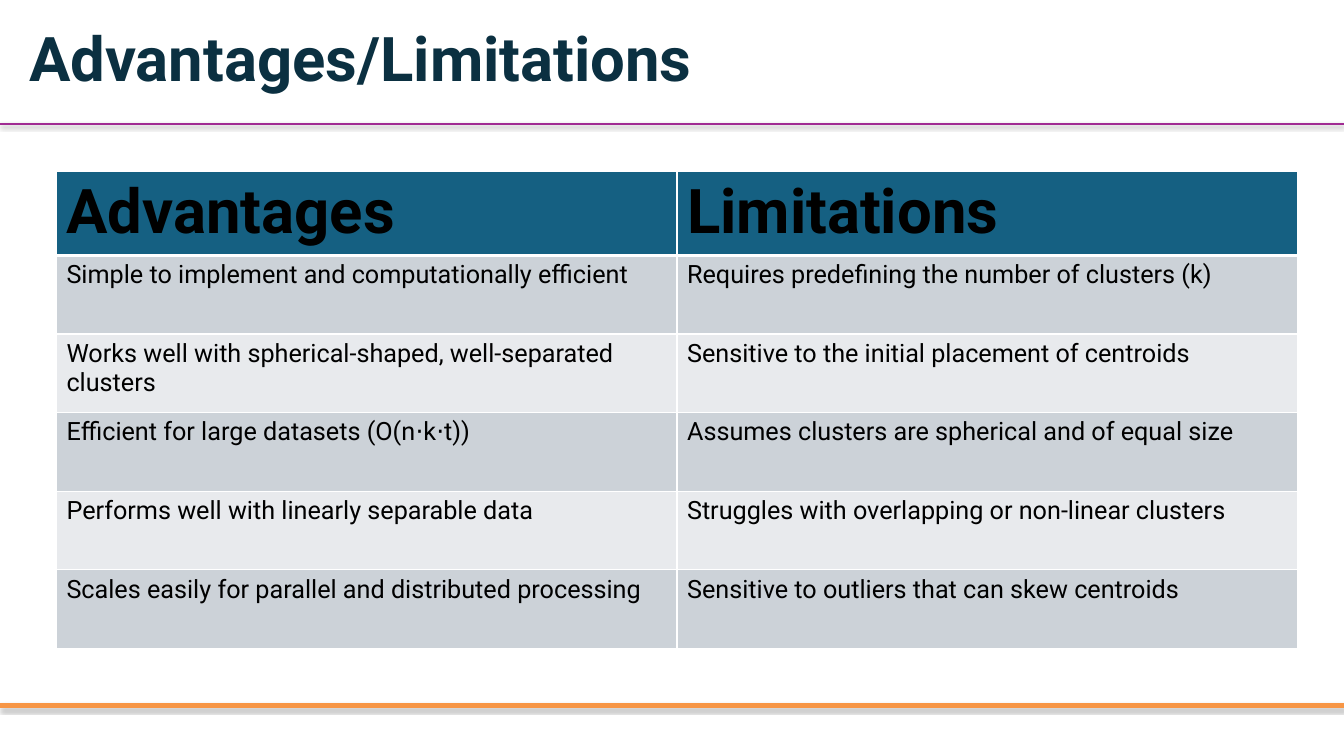
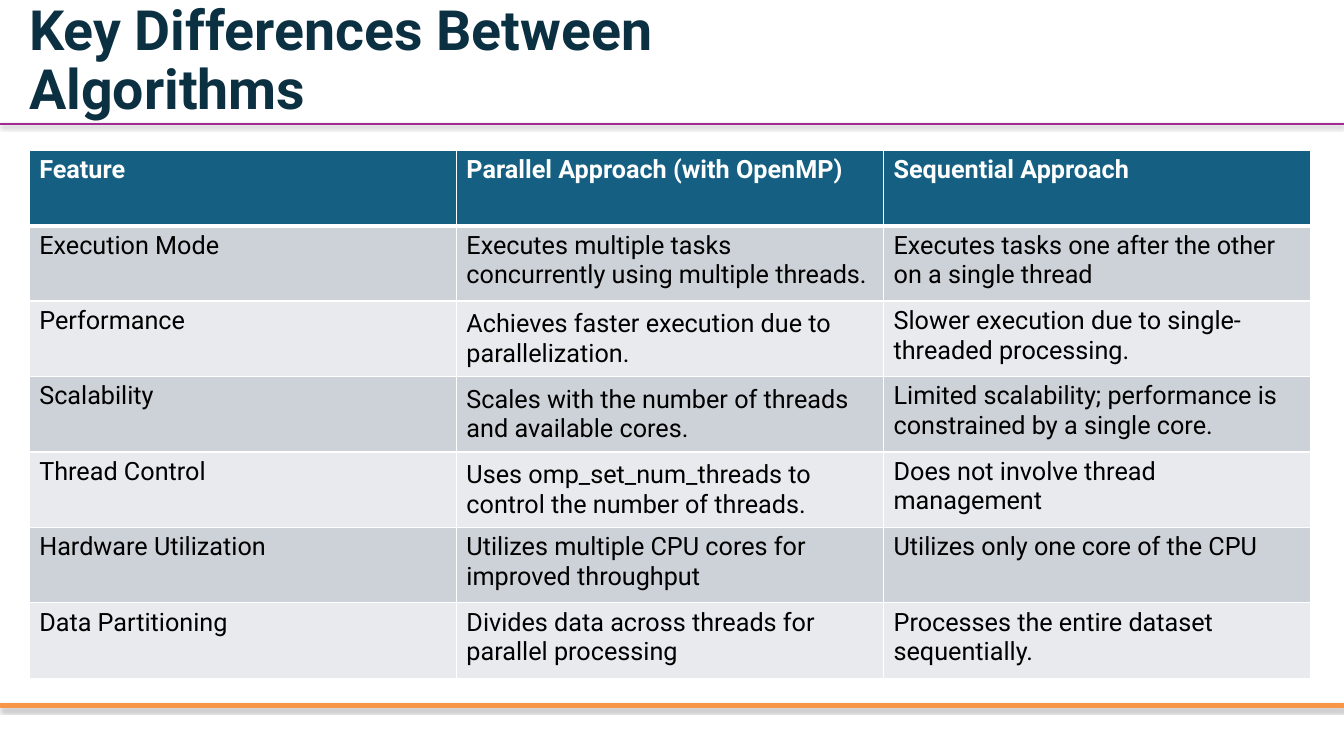
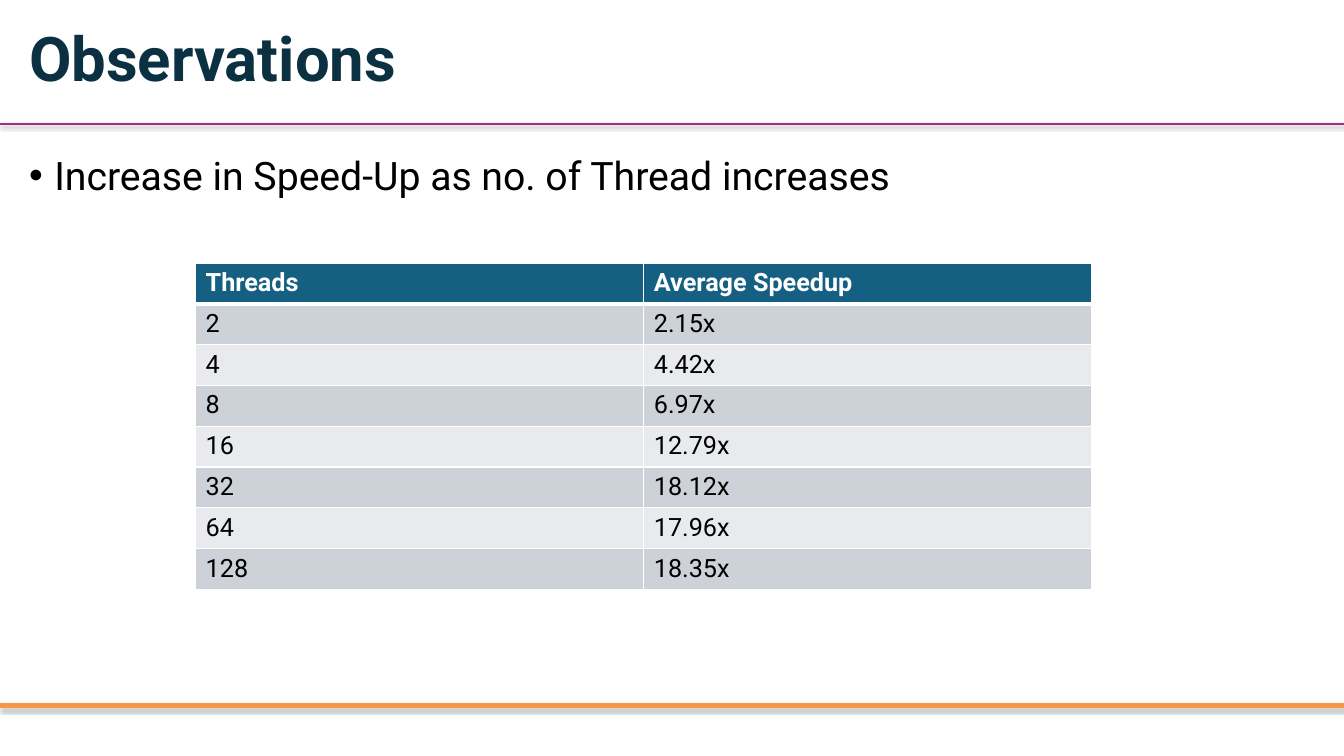
from lxml import etree
from pptx import Presentation
from pptx.dml.color import RGBColor
from pptx.enum import shapes, text
from pptx.oxml import parse_xml
from pptx.oxml.ns import nsdecls
from pptx.util import Inches, Pt

FONT = "Roboto"
NAVY = RGBColor(0x0B, 0x30, 0x41)
PURPLE = RGBColor(0xA0, 0x2B, 0x93)
ORANGE = RGBColor(0xF7, 0x96, 0x46)
TEAL = RGBColor(0x15, 0x60, 0x82)
BANDS = [RGBColor(0xE8, 0xEA, 0xED), RGBColor(0xCC, 0xD2, 0xD8)]
BLACK = RGBColor(0, 0, 0)
WHITE = RGBColor(0xFF, 0xFF, 0xFF)

# top, colour, width, shadow distance in points, shadow opacity in percent
RULES = [(1.23, PURPLE, 2, 1.6, 38), (7, ORANGE, 3, 1.8, 35)]

PAGES = [
    {
        "title": "Advantages/Limitations", "title_size": 44, "title_width": 8.24,
        "table_box": (0.56, 1.7, 12.31, 4.68),
        "header_size": 44, "header_color": BLACK,
        "rows": [
            ("Advantages", "Limitations"),
            ("Simple to implement and computationally efficient",
             "Requires predefining the number of clusters (k)"),
            ("Works well with spherical-shaped, well-separated clusters",
             "Sensitive to the initial placement of centroids"),
            ("Efficient for large datasets (O(n⋅k⋅t))",
             "Assumes clusters are spherical and of equal size"),
            ("Performs well with linearly separable data",
             "Struggles with overlapping or non-linear clusters"),
            ("Scales easily for parallel and distributed processing",
             "Sensitive to outliers that can skew centroids"),
        ],
    },
    {
        "title": "Key Differences Between Algorithms", "title_size": 39.6, "title_width": 8.98,
        "table_box": (0.29, 1.49, 12.71, 5.24),
        "header_size": 18, "header_color": WHITE,
        "middle_cells": [(2, 1), (3, 1), (4, 1)],
        "rows": [
            ("Feature", "Parallel Approach (with OpenMP)", "Sequential Approach"),
            ("Execution Mode",
             "Executes multiple tasks concurrently using multiple threads.",
             "Executes tasks one after the other on a single thread"),
            ("Performance",
             "Achieves faster execution due to parallelization.",
             "Slower execution due to single-threaded processing."),
            ("Scalability",
             "Scales with the number of threads and available cores.",
             "Limited scalability; performance is constrained by a single core."),
            ("Thread Control",
             "Uses omp_set_num_threads to control the number of threads.",
             "Does not involve thread management"),
            ("Hardware Utilization",
             "Utilizes multiple CPU cores for improved throughput",
             "Utilizes only one core of the CPU"),
            ("Data Partitioning",
             "Divides data across threads for parallel processing",
             "Processes the entire dataset sequentially."),
        ],
    },
    {
        "title": "Observations", "title_size": 44, "title_width": 8.24,
        "bullet": "Increase in Speed-Up as no. of Thread increases",
        "table_box": (1.94, 2.61, 8.89, 3.24),
        "header_size": 18, "header_color": WHITE,
        "rows": [
            ("Threads", "Average Speedup"),
            ("2", "2.15x"),
            ("4", "4.42x"),
            ("8", "6.97x"),
            ("16", "12.79x"),
            ("32", "18.12x"),
            ("64", "17.96x"),
            ("128", "18.35x"),
        ],
    },
]


def write(frame, wording, size, color, bold=False):
    """Put one formatted run in the frame and return its paragraph."""
    para = frame.paragraphs[0]
    span = para.add_run()
    span.text = wording
    for name, value in {"name": FONT, "size": Pt(size), "bold": bold}.items():
        setattr(span.font, name, value)
    span.font.color.rgb = color
    return para


def add_text_box(page, left, top, width, height, anchor):
    frame = page.shapes.add_textbox(*map(Inches, (left, top, width, height))).text_frame
    frame.word_wrap = True
    frame.vertical_anchor = anchor
    return frame


deck = Presentation()
deck.slide_width, deck.slide_height = Inches(13.33), Inches(7.5)

for content in PAGES:
    page = deck.slides.add_slide(deck.slide_layouts[6])

    for top, color, width, distance, opacity in RULES:
        rule = page.shapes.add_connector(
            shapes.MSO_CONNECTOR.STRAIGHT, 0, Inches(top), deck.slide_width, Inches(top))
        rule.line.color.rgb = color
        rule.line.width = Pt(width)
        rule._element.spPr.append(parse_xml(
            f'<a:effectLst {nsdecls("a")}>'
            f'<a:outerShdw blurRad="{Pt(3.1)}" dist="{Pt(distance)}" dir="5400000" rotWithShape="0">'
            f'<a:srgbClr val="000000"><a:alpha val="{opacity * 1000}"/></a:srgbClr>'
            '</a:outerShdw></a:effectLst>'))

    frame = add_text_box(page, 0.19, 0.09, content["title_width"], 1.05, text.MSO_ANCHOR.MIDDLE)
    para = write(frame, content["title"], content["title_size"], NAVY, bold=True)
    para.line_spacing = 0.9

    if "bullet" in content:
        frame = add_text_box(page, 0.19, 1.5, 12.84, 5.24, text.MSO_ANCHOR.TOP)
        para = write(frame, content["bullet"], 28, BLACK)
        para.line_spacing = 0.9
        para.space_before = Pt(10)
        props = para._p.get_or_add_pPr()
        props.set("marL", str(Inches(0.25)))
        props.set("indent", str(-Inches(0.25)))
        props.append(parse_xml(f'<a:buFont {nsdecls("a")} typeface="Arial"/>'))
        props.append(parse_xml(f'<a:buChar {nsdecls("a")} char="•"/>'))

    rows = content["rows"]
    table = page.shapes.add_table(
        len(rows), len(rows[0]), *map(Inches, content["table_box"])).table
    for r, row in enumerate(rows):
        for c, wording in enumerate(row):
            cell = table.cell(r, c)
            header = r == 0
            for side in "LRTB":
                heavy = (header and side == "B") or (r == 1 and side == "T")
                cell._tc.get_or_add_tcPr().append(parse_xml(
                    f'<a:ln{side} {nsdecls("a")} w="{Pt(3 if heavy else 1)}">'
                    f'<a:solidFill><a:srgbClr val="{WHITE}"/></a:solidFill></a:ln{side}>'))
            cell.fill.solid()
            cell.fill.fore_color.rgb = TEAL if header else BANDS[r % 2]
            if (r, c) in content.get("middle_cells", []):
                cell.vertical_anchor = text.MSO_ANCHOR.MIDDLE
            write(cell.text_frame, wording,
                  content["header_size"] if header else 18,
                  content["header_color"] if header else BLACK, bold=header)

deck.save("out.pptx")
